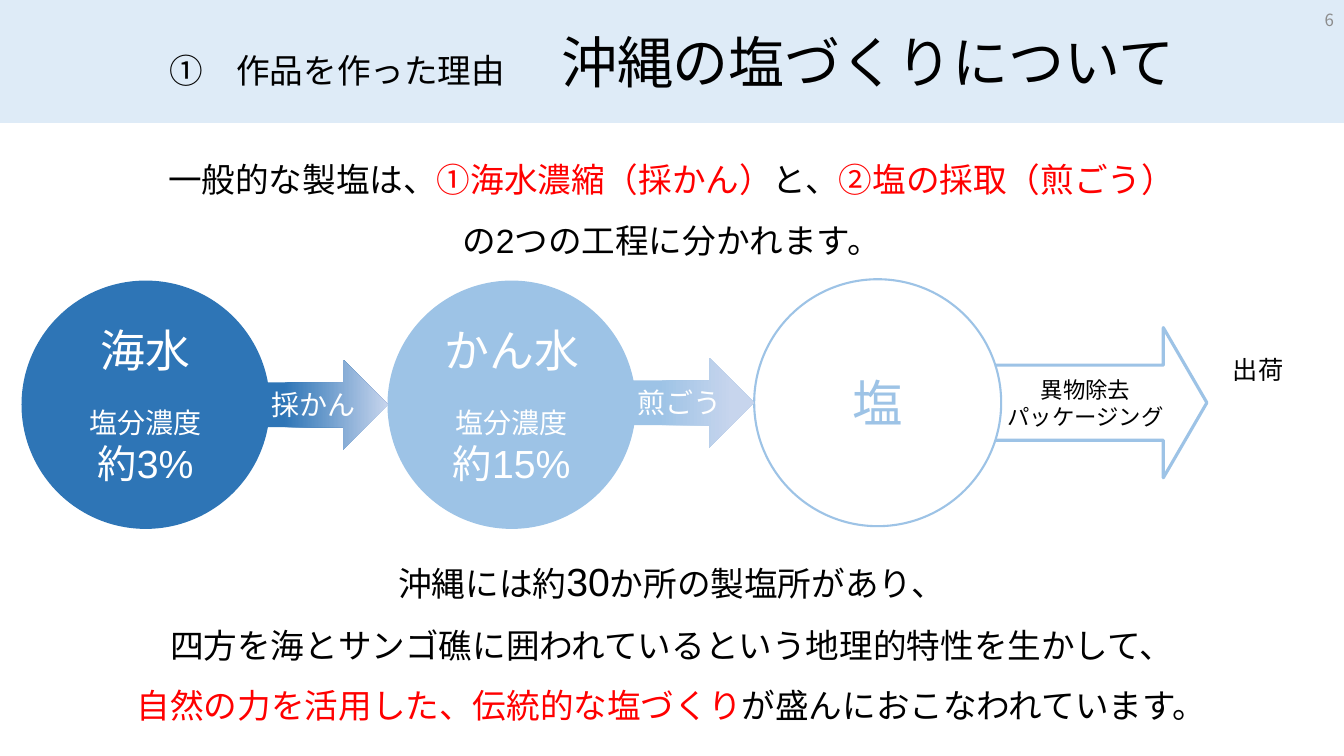
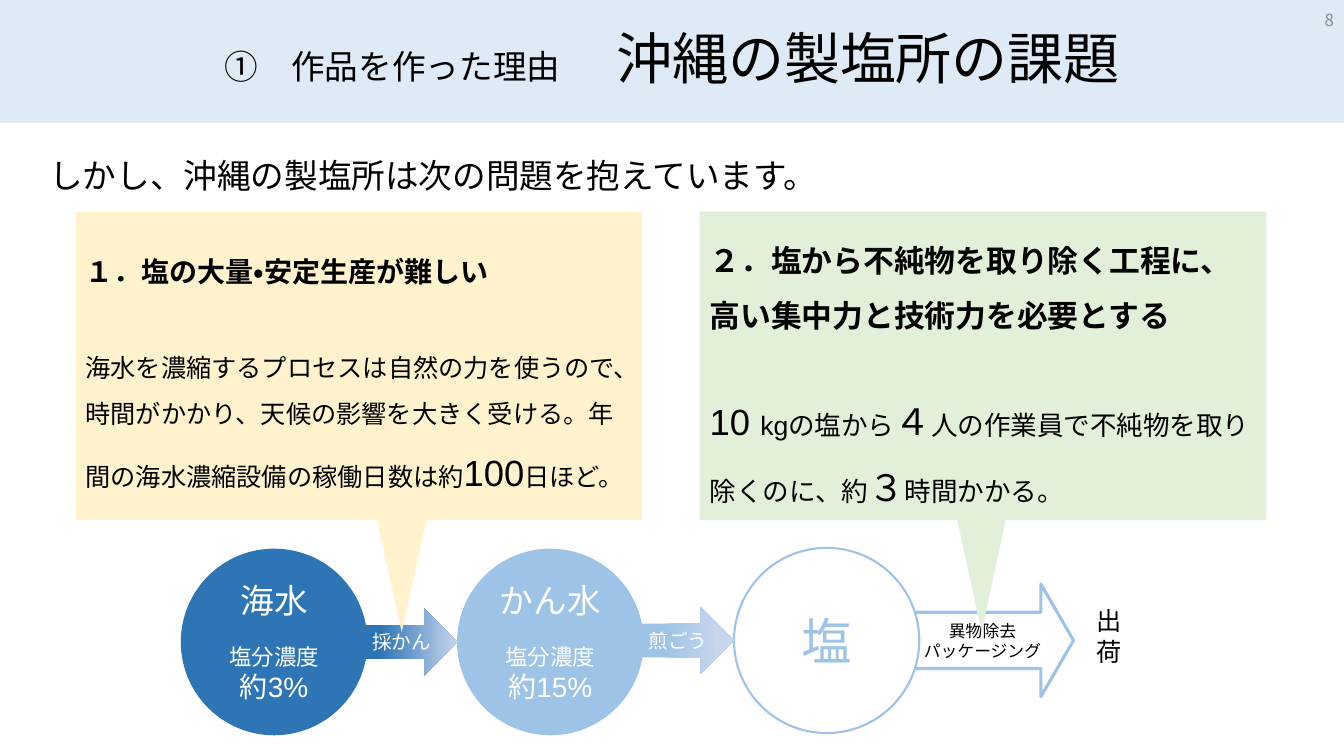
"""Build two slides on Okinawan salt making and the problems its makers face."""
from pptx import Presentation
from pptx.dml.color import RGBColor
from pptx.enum.lang import MSO_LANGUAGE_ID as Language
from pptx.enum.shapes import MSO_SHAPE as Shape
from pptx.enum.text import MSO_ANCHOR as Anchor, MSO_AUTO_SIZE as AutoSize, PP_ALIGN as Align
from pptx.util import Inches, Pt

BLACK = RGBColor(0x00, 0x00, 0x00)
WHITE = RGBColor(0xFF, 0xFF, 0xFF)
RED = RGBColor(0xFF, 0x00, 0x00)
GRAY = RGBColor(0x8C, 0x8C, 0x8C)
BAND = RGBColor(0xDE, 0xEB, 0xF7)
DEEP_BLUE = RGBColor(0x2E, 0x75, 0xB6)
LIGHT_BLUE = RGBColor(0x9D, 0xC3, 0xE6)
PALE_BLUE = RGBColor(0xC7, 0xD5, 0xED)
CREAM = RGBColor(0xFF, 0xF2, 0xCC)
MINT = RGBColor(0xE2, 0xF0, 0xD9)

WIDTH, HEIGHT, BAND_HEIGHT = 13.33, 7.5, 1.22
BODY_FONT, NUMBER_FONT = "Arial", "Noto Sans CJK JP"
SECTION = "①　作品を作った理由"

BIG, MEDIUM, SMALL = {"size": 26}, {"size": 19}, {"size": 18}
BOLD, ACCENT = {"bold": True}, {"color": RED}

INTRO = [
    ["一般的な製塩は、", ("①海水濃縮（採かん）", ACCENT), "と、", ("②塩の採取（煎ごう）", ACCENT)],
    ["の2つの工程に分かれます。"],
]
SUMMARY = [
    ["沖縄には約", ("30", {"size": 28}), "か所の製塩所があり、"],
    ["四方を海とサンゴ礁に囲われているという地理的特性を生かして、"],
    [("自然の力を活用した、伝統的な塩づくり", ACCENT), "が盛んにおこなわれています。"],
]
ISSUE_LEAD = [["しかし、沖縄の製塩所は次の問題を抱えています。"]]
ISSUES = [
    {"left": 0.75, "fill": CREAM, "pointer": (3.74, 5.16, 0.49, 1.11), "gap": 35, "text": [
        [("１．塩の大量・安定生産が難しい", {"size": 20, **BOLD})],
        [("海水を濃縮するプロセスは自然の力を使うので、時間がかかり、"
          "天候の影響を大きく受ける。年間の海水濃縮設備の稼働日数は約", SMALL),
         ("100", BIG), ("日ほど。", SMALL)]]},
    {"left": 6.94, "fill": MINT, "pointer": (9.49, 5.14, 0.49, 1.13), "gap": 31, "text": [
        [("２．塩から不純物を取り除く工程に、高い集中力と技術力を必要とする", {"size": 22, **BOLD})],
        [("10 ", BIG), ("kgの塩から", MEDIUM), ("４", BIG),
         ("人の作業員で不純物を取り除くのに、約", MEDIUM), ("３", BIG), ("時間かかる。", MEDIUM)]]},
]

LIQUIDS = [("海水", "約3%", DEEP_BLUE), ("かん水", "約15%", LIGHT_BLUE)]
STEPS = [("採かん", DEEP_BLUE, 0.18, 1), ("煎ごう", LIGHT_BLUE, 0.25, 0.83)]
LARGE_FLOW = {"left": 0.22, "top": 2.79, "scale": 1, "pitch": 3.63, "name": 32, "gap": 21,
              "label": 20, "value": 28, "step": 20, "finish": 16,
              "shipping": (12.13, 3.47, 0.71, 0.4), "wrap": False}
SMALL_FLOW = {"left": 1.8, "top": 5.45, "scale": 0.75, "pitch": 2.74, "name": 24, "gap": 16,
              "label": 16, "value": 20, "step": 14, "finish": 12,
              "shipping": (10.78, 5.96, 0.53, 0.7), "wrap": True}


def write(shape, paragraphs, size=24, color=BLACK, align=Align.CENTER, spacing=None,
          gaps=None, wrap=True, anchor=Anchor.MIDDLE, font=BODY_FONT):
    """Fill a shape with paragraphs of plain or (text, format) runs."""
    frame = shape.text_frame
    frame.word_wrap = wrap
    frame.auto_size = AutoSize.NONE
    frame.vertical_anchor = anchor
    for index, runs in enumerate(paragraphs):
        para = frame.add_paragraph() if index else frame.paragraphs[0]
        para.alignment = align
        if spacing:
            para.line_spacing = spacing
        if gaps and index in gaps:
            para.space_before = Pt(gaps[index])
        for run in runs:
            text, look = (run, {}) if isinstance(run, str) else run
            span = para.add_run()
            span.text = text
            span.font.name = font
            span.font.language_id = Language.JAPANESE
            span.font.size = Pt(look.get("size", size))
            span.font.bold = look.get("bold", False)
            span.font.color.rgb = look.get("color", color)


def add_text(page, place, paragraphs, **look):
    """Add a text box."""
    write(page.shapes.add_textbox(*map(Inches, place)), paragraphs, **look)


def add_figure(page, kind, place, fill=None, line=None, weight=1):
    """Add a shadowless preset shape."""
    figure = page.shapes.add_shape(kind, *map(Inches, place))
    figure.shadow.inherit = False
    if fill is None:
        figure.fill.background()
    else:
        figure.fill.solid()
        figure.fill.fore_color.rgb = fill
    if line is None:
        figure.line.fill.background()
    else:
        figure.line.color.rgb = line
        figure.line.width = Pt(weight)
    return figure


def add_page(deck, title, number, title_spacing):
    """Add a slide with its title band and page number."""
    page = deck.slides.add_slide(deck.slide_layouts[5])
    band = page.shapes.title
    band.left, band.top = Inches(0), Inches(0)
    band.width, band.height = Inches(WIDTH), Inches(BAND_HEIGHT)
    band.fill.solid()
    band.fill.fore_color.rgb = BAND
    write(band, [[SECTION, ("　" + title, {"size": 40})]], spacing=title_spacing)
    add_text(page, (WIDTH - 3, 0, 3, 0.4), [[number]], size=12, color=GRAY,
             align=Align.RIGHT, font=NUMBER_FONT)
    return page


def add_flow(page, flow):
    """Draw the process from sea water to shipping."""
    scale, top = flow["scale"], flow["top"]
    diameter = 2.45 * scale
    lefts = [flow["left"] + index * flow["pitch"] for index in range(3)]
    finish = add_figure(page, Shape.RIGHT_ARROW,
                        (lefts[2] + 2.3 * scale, top + 0.46 * scale, 2.19 * scale, 1.49 * scale),
                        line=LIGHT_BLUE, weight=2.25)
    finish.adjustments[0], finish.adjustments[1] = 0.5, 0.29
    write(finish, [["異物除去"], ["パッケージング"]], size=flow["finish"], wrap=False)

    for left, (name, value, color) in zip(lefts, LIQUIDS):
        circle = add_figure(page, Shape.OVAL, (left, top, diameter, diameter), color, color)
        write(circle, [[(name, {"size": flow["name"]})], [("塩分濃度", {"size": flow["label"]})],
                       [(value, {"size": flow["value"]})]], color=WHITE, gaps={1: flow["gap"]})
    salt = add_figure(page, Shape.OVAL, (lefts[2], top - 0.02 * scale, diameter, diameter),
                      WHITE, LIGHT_BLUE, 1.5)
    write(salt, [["塩"]], size=36, color=LIGHT_BLUE)

    width, height = 1.26 * scale, 0.89 * scale
    for index, (name, color, start, end) in enumerate(STEPS):
        place = (lefts[index + 1] - width, top + (0.78 - 0.02 * index) * scale, width, height)
        arrow = add_figure(page, Shape.RIGHT_ARROW, place)
        arrow.fill.gradient()
        arrow.fill.gradient_angle = 0
        for stop, shade, position in zip(arrow.fill.gradient_stops, (color, PALE_BLUE), (start, end)):
            stop.color.rgb = shade
            stop.position = position
        write(arrow, [[name]], size=flow["step"], color=WHITE, wrap=False)
    add_text(page, flow["shipping"], [["出荷"]], size=18, align=Align.LEFT,
             wrap=flow["wrap"], anchor=Anchor.TOP)


def main():
    """Build and save the deck."""
    deck = Presentation()
    deck.slide_width, deck.slide_height = Inches(WIDTH), Inches(HEIGHT)

    process = add_page(deck, "沖縄の塩づくりについて", "6", 1.0)
    add_text(process, (0.39, 1.29, 12.54, 1.38), INTRO, spacing=1.5)
    add_flow(process, LARGE_FLOW)
    add_text(process, (0.39, 5.14, 12.54, 2.21), SUMMARY, spacing=1.5)

    problems = add_page(deck, "沖縄の製塩所の課題", "8", 0.9)
    add_text(problems, (0.39, 1.22, 12.54, 0.84), ISSUE_LEAD, align=Align.LEFT, spacing=1.5)
    add_flow(problems, SMALL_FLOW)
    for issue in ISSUES:
        card = add_figure(problems, Shape.RECTANGLE, (issue["left"], 2.1, 5.62, 3.06), issue["fill"])
        write(card, issue["text"], align=Align.LEFT, spacing=1.5, gaps={1: issue["gap"]})
        pointer = add_figure(problems, Shape.ISOSCELES_TRIANGLE, issue["pointer"], issue["fill"])
        pointer.rotation = 180

    deck.save("out.pptx")


if __name__ == "__main__":
    main()
